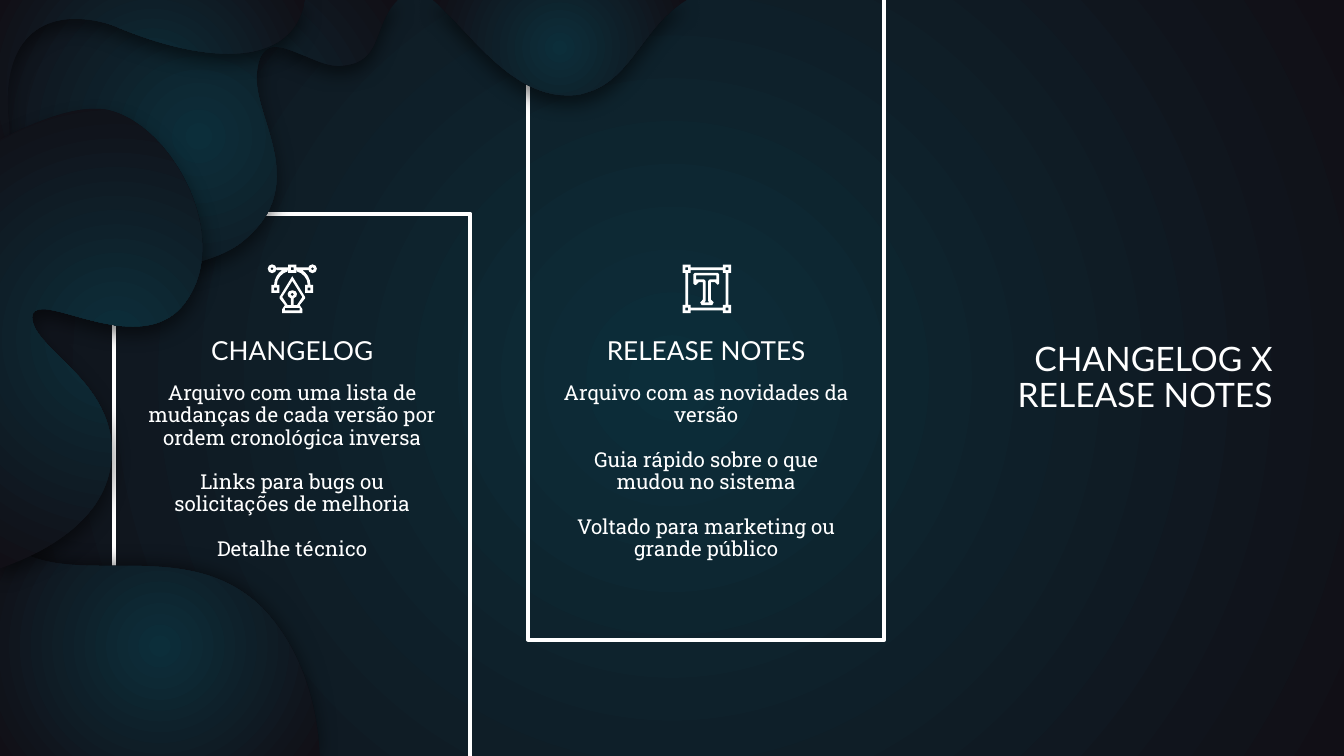
from pptx import Presentation
from pptx.dml.color import RGBColor
from pptx.enum.shapes import MSO_SHAPE
from pptx.enum.text import MSO_ANCHOR, MSO_AUTO_SIZE, PP_ALIGN
from pptx.oxml import parse_xml
from pptx.oxml.ns import nsdecls, qn
from pptx.util import Inches, Pt

COLS, ROWS = 100, 56.25
WHITE, TEAL, NIGHT = "FFFFFF", "0C2E3A", "110F16"

BLOBS = [
    ("42.2 7.1; 42.6 7.1 43.1 7.1 43.6 6.9; 47 6 47.9 1.8 51.1 0; 32.2 0;"
     "34.6 1.9 37.8 7.1 42.2 7.1", 5.2, 90),
    ("6.9 20.3; 11.3 20.3 15.6 19.8 17.9 18.1; 23.3 13.9 18.9 8.9 19.1 5.6;"
     "19.2 4 19.8 3.5 20.5 3.5; 21.2 3.5 22 3.9 22.8 4.2;"
     "23.7 4.6 24.5 4.9 25.1 4.9; 25.3 4.9; 28.6 4.7 27.6 2 29.6 0; 22.7 0;"
     "22.2 2.9 19.9 4 17 4; 14.5 4 11.6 3.2 8.9 2.1; 7.8 1.6 6.6 1.4 5.6 1.4;"
     "2.4 1.4 0 3.7 0.7 9.3; 0.8 10.9 0.5 12.1 0 12.9; 0 19.9;"
     "2.1 20.1 4.5 20.3 6.9 20.3", 4.5, 90),
    ("0 12.9; 0.5 12.1 0.8 10.9 0.7 9.3; 0 3.7 2.4 1.4 5.6 1.4;"
     "6.6 1.4 7.8 1.6 8.9 2.1; 11.6 3.2 14.5 4 17 4;"
     "19.9 4 22.2 2.9 22.7 0; 0 0", 4.5, 90),
    ("23.8 56.25; 23.6 52.5 22.5 48.3 19.5 45.2; 16.4 42.2 12.6 42.1 8.9 42.1;"
     "8 42.1; 5.2 42.1 2.6 42 0.7 40.5; 0 39.9; 0 56.25", 1.5, 240),
    ("0 42.3; 3.9 40.9 7.5 38.6 8.2 34.9; 9.3 28.6 2.4 26.1 2.4 23.6;"
     "2.4 23.2 2.7 23 3.2 23; 4.5 23 7.3 24.3 9.9 24.3;"
     "11.5 24.3 13 23.8 14 22.2; 17.3 17.2 12.3 8.5 7.4 8.1; 7 8.1;"
     "5.1 8.1 2.5 9.1 0 10.4", 4.5, 90),
]
NIB = ("21.75 20.55; 22.7 22.1; 22.7 22.2; 22.3 22.7; 22.5 23; 22.5 23.3;"
       "21 23.3; 21 23; 21.2 22.7; 20.8 22.2; 20.8 22.1")
SLIT = ("21.75 20.9; 22.5 22.1; 22.1 22.7; 21.85 22.7; 21.85 22.2;"
        "22.2 22.1 22.2 21.6 21.75 21.6; 21.3 21.6 21.3 22.1 21.65 22.2;"
        "21.65 22.7; 21.4 22.7; 21 22.1")
ARC = ("20.4 21.2; 20.4 20.7 20.7 20.3 21 20.1; 21.4 20.1; 21.4 20.2;"
       "21 20.3 20.6 20.7 20.6 21.2")
TEE = ("51.7 20.3; 53.4 20.3; 53.5 20.4; 53.5 21.1; 53.4 21.2; 53.2 21; 52.9 21;"
       "52.9 22.3; 53.1 22.5; 53 22.7; 52.2 22.7; 52.1 22.5; 52.3 22.3; 52.3 21;"
       "52 21; 51.8 21.2; 51.7 21.2; 51.6 21.1; 51.6 20.4")
STEM = ("53.3 20.5; 53.3 20.8; 52.8 20.8; 52.7 20.9; 52.7 22.4; 52.75 22.5;"
        "52.4 22.5; 52.5 22.4; 52.5 20.9; 52.4 20.8; 51.8 20.8; 51.8 20.5")

CARDS = [
    (8.5, 15.9, 41.3, "CHANGELOG",
     ["Arquivo com uma lista de mudanças de cada versão por ordem cronológica inversa",
      "Links para bugs ou solicitações de melhoria", "Detalhe técnico"]),
    (39.3, -0.8, 48.4, "RELEASE NOTES",
     ["Arquivo com as novidades da versão", "Guia rápido sobre o que mudou no sistema",
      "Voltado para marketing ou grande público"]),
]


def cell(count):
    return Inches(count / 10)


def tint(hue):
    return RGBColor.from_string(hue)


def glow(props):
    grad = parse_xml(
        f'<a:gradFill {nsdecls("a")}><a:gsLst>'
        f'<a:gs pos="0"><a:srgbClr val="{TEAL}"/></a:gs>'
        f'<a:gs pos="100000"><a:srgbClr val="{NIGHT}"/></a:gs></a:gsLst>'
        '<a:path path="circle"><a:fillToRect l="50000" t="50000" r="50000" b="50000"/>'
        '</a:path></a:gradFill>')
    props.replace(props.find(qn("a:solidFill")), grad)


def trace(text):
    loop = []
    for part in text.split(";"):
        nums = [float(num) for num in part.split()]
        loop.append(list(zip(nums[::2], nums[1::2])))
    return loop


def box(x, y, w, h):
    return [[(x, y)], [(x + w, y)], [(x + w, y + h)], [(x, y + h)]]


def disk(x, y, r):
    k = 0.55 * r
    loop, side = [[(x + r, y)]], (r, 0)
    for _ in range(4):
        a, b = side
        p, q = -b * k / r, a * k / r
        loop.append([(x + a + p, y + b + q), (x - b + q, y + a - p), (x - b, y + a)])
        side = (-b, a)
    return loop


def knob(x, y):
    return [box(x, y, 0.6, 0.6), box(x + 0.2, y + 0.2, 0.2, 0.2)]


def flip(loops, axis):
    return [[[(2 * axis - x, y) for x, y in step] for step in loop] for loop in loops]


def bend(props, loops):
    lines = iter(list(props.iter(qn("a:lnTo"))))
    for loop in loops:
        for step in loop[1:]:
            nodes = [next(lines) for _ in step]
            if len(nodes) == 3:
                curve = parse_xml(f'<a:cubicBezTo {nsdecls("a")}/>')
                nodes[0].addprevious(curve)
                for node in nodes:
                    curve.append(node[0])
                    node.getparent().remove(node)


def form(shapes, loops):
    pen = None
    for loop in loops:
        first, *rest = [(cell(x), cell(y)) for step in loop for x, y in step]
        if pen is None:
            pen = shapes.build_freeform(*first, scale=1.0)
        else:
            pen.move_to(*first)
        pen.add_line_segments(rest, close=True)
    shape = pen.convert_to_shape()
    bend(shape.element.spPr, loops)
    shape.fill.solid()
    shape.fill.fore_color.rgb = tint(WHITE)
    shape.line.fill.background()
    shape.shadow.inherit = False
    return shape


def blob(shapes, text, dist, turn):
    props = form(shapes, [trace(text)]).element.spPr
    glow(props)
    props.find(qn("a:effectLst")).append(parse_xml(
        f'<a:outerShdw {nsdecls("a")} blurRad="{Pt(10.1)}" dist="{Pt(dist)}" '
        f'dir="{turn * 60000}" algn="bl" rotWithShape="0">'
        '<a:srgbClr val="000000"><a:alpha val="50000"/></a:srgbClr></a:outerShdw>'))


def frame(shapes, x, y, w, h):
    shape = shapes.add_shape(MSO_SHAPE.RECTANGLE, cell(x), cell(y), cell(w), cell(h))
    shape.fill.background()
    shape.line.color.rgb = tint(WHITE)
    shape.line.width = Pt(2.25)
    shape.shadow.inherit = False


def draw_pen(shapes):
    group = shapes.add_group_shape().shapes
    form(group, [trace(NIB), trace(SLIT), box(21.2, 22.9, 1.1, 0.2),
                 disk(21.75, 21.9, 0.13)])
    half = [disk(20.25, 20, 0.33), disk(20.25, 20, 0.12), box(20.58, 19.9, 0.87, 0.2),
            trace(ARC), *knob(20.2, 21.2)]
    form(group, half + flip(half, 21.75) + knob(21.45, 19.7))


def draw_type(shapes):
    group = shapes.add_group_shape().shapes
    left, top, span = 50.8, 19.7, 3
    loops = []
    for gap in (0, span):
        loops += knob(left + gap, top) + knob(left + gap, top + span)
        loops += [box(left + 0.6, top + gap + 0.2, 2.4, 0.2),
                  box(left + gap + 0.2, top + 0.6, 0.2, 2.4)]
    form(group, loops)
    form(group, [trace(TEE), trace(STEM)])


def write(holder, spot, lines, font, size, align, anchor, first=0, pitch=0.9):
    holder.element.getparent().append(holder.element)
    holder.left, holder.top, holder.width, holder.height = map(cell, spot)
    body = holder.text_frame
    body.text = "\n".join(lines)
    body.word_wrap = True
    body.auto_size = MSO_AUTO_SIZE.NONE
    body.vertical_anchor = anchor
    body.margin_left = body.margin_right = cell(0.7)
    body.margin_top = body.margin_bottom = cell(0.4)
    for num, para in enumerate(body.paragraphs):
        para.alignment = align
        para.line_spacing = pitch
        para.space_before = Pt(12 if num else first)
        para.space_after = Pt(0)
        para.font.name, para.font.size, para.font.bold = font, Pt(size), False
        para.font.color.rgb = tint(WHITE)
        props = para._p.get_or_add_pPr()
        props.set("marL", "0")
        props.set("indent", "0")
        props.insert_element_before(parse_xml(f'<a:buNone {nsdecls("a")}/>'),
                                    "a:tabLst", "a:defRPr", "a:extLst")


def main():
    deck = Presentation()
    deck.slide_width, deck.slide_height = cell(COLS), cell(ROWS)
    slide = deck.slides.add_slide(deck.slide_layouts[4])
    shapes = slide.shapes
    slots = {item.placeholder_format.idx: item for item in slide.placeholders}
    slide.background.fill.solid()
    glow(slide.element.find(".//" + qn("p:bgPr")))
    for x, y, h, *_ in CARDS:
        frame(shapes, x, y, 26.5, h)
    for data in BLOBS:
        blob(shapes, *data)
    write(slots[0], (65.4, 9.1, 30, 38.1), ["CHANGELOG X RELEASE NOTES"],
          "Lato", 18, PP_ALIGN.RIGHT, MSO_ANCHOR.MIDDLE)
    for num, (x, _, _, head, lines) in enumerate(CARDS):
        write(slots[2 * num + 1], (x + 0.55, 25, 25.4, 2.6), [head],
              "Lato", 14, PP_ALIGN.CENTER, MSO_ANCHOR.BOTTOM, 8, 1.0)
        write(slots[2 * num + 2], (x + 1.6, 28.1, 23.3, 9.8), lines,
              "Roboto Slab", 11, PP_ALIGN.CENTER, MSO_ANCHOR.TOP)
    draw_pen(shapes)
    draw_type(shapes)
    deck.save("out.pptx")


if __name__ == "__main__":
    main()
